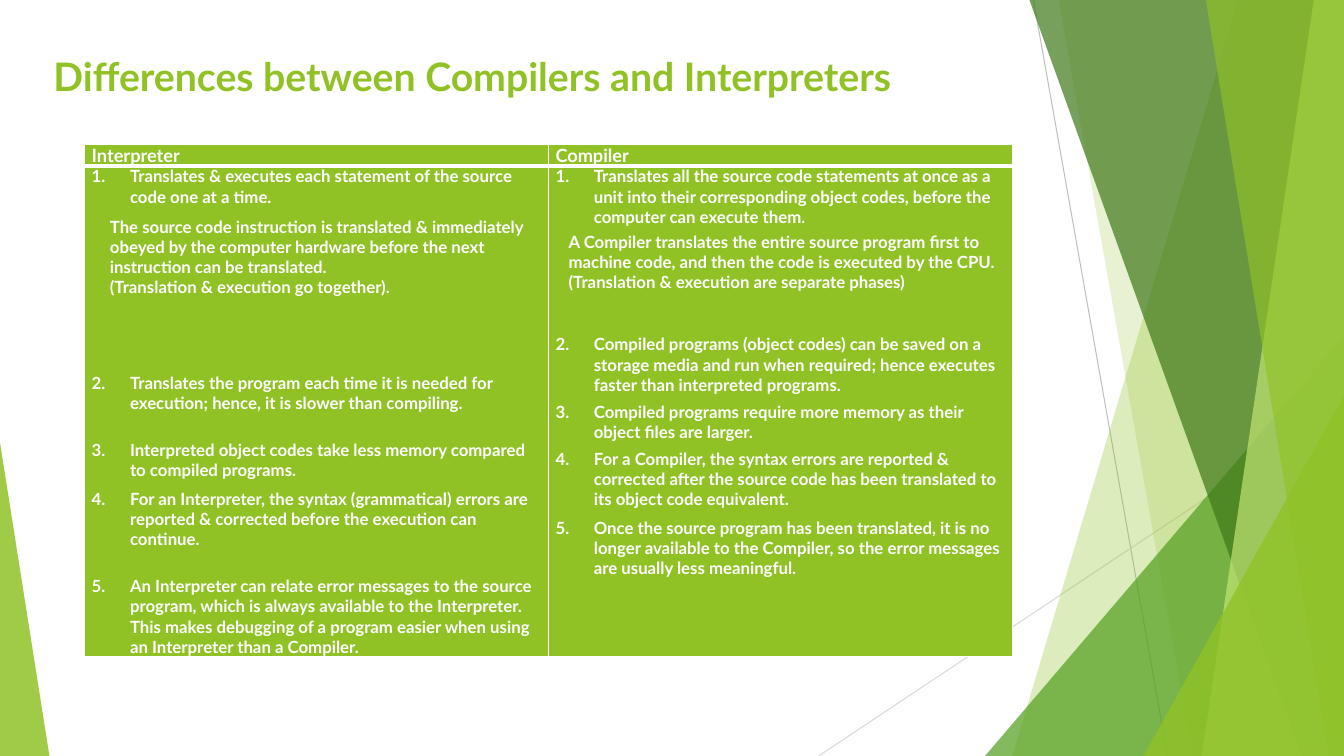
from dataclasses import dataclass

from lxml import etree
from pptx import Presentation
from pptx.dml.color import RGBColor
from pptx.enum.shapes import MSO_CONNECTOR, MSO_SHAPE
from pptx.enum.text import MSO_ANCHOR, PP_ALIGN
from pptx.oxml.ns import qn
from pptx.util import Inches, Pt

LINE = MSO_CONNECTOR.STRAIGHT
TRIANGLE = MSO_SHAPE.ISOSCELES_TRIANGLE
TOP = MSO_ANCHOR.TOP
LEFT = PP_ALIGN.LEFT
WIDTH, HEIGHT = 13.33, 7.5


@dataclass(frozen=True)
class Theme:
    """Colours, font and type sizes of the slide."""
    font: str = "Lato"
    title: int = 28
    header: int = 13
    body: int = 12
    green: str = "90C226"
    leaf: str = "54A021"
    forest: str = "3F7819"
    lime: str = "C0E474"
    white: str = "FFFFFF"
    grey: str = "BFBFBF"
    pale_grey: str = "D9D9D9"


class Deck:
    """Holds the theme and the current slide, and draws elements on it."""

    def __init__(self, slide, theme):
        """Keep the slide and the theme."""
        self.slide = slide
        self.theme = theme

    def add_text(self, p, text, size, color):
        """Add a bold run of text to a paragraph."""
        r = p.add_run()
        r.text = text
        r.font.name = self.theme.font
        r.font.size = Pt(size)
        r.font.bold = True
        r.font.color.rgb = RGBColor.from_string(color)

    def title(self, text, x, y, w, h):
        """Place and fill the title placeholder."""
        sp = self.slide.shapes.title
        sp.left, sp.top, sp.width, sp.height = map(Inches, (x, y, w, h))
        tf = sp.text_frame
        tf.vertical_anchor = TOP
        tf.word_wrap = True
        p = tf.paragraphs[0]
        p.alignment = LEFT
        self.add_text(p, text, size=self.theme.title, color=self.theme.green)

    def line(self, x1, y1, x2, y2, color):
        """Draw a thin straight line."""
        sp = self.slide.shapes.add_connector(LINE, *map(Inches, (x1, y1, x2, y2)))
        sp.line.color.rgb = RGBColor.from_string(color)
        sp.line.width = Pt(0.75)
        etree.SubElement(sp._element.spPr, qn("a:effectLst"))

    def paint(self, sp, color, opacity):
        """Give a shape a translucent fill with no line or shadow."""
        sp.shadow.inherit = False
        sp.line.fill.background()
        sp.fill.solid()
        sp.fill.fore_color.rgb = RGBColor.from_string(color)
        clr = sp._element.spPr.find(qn("a:solidFill"))[0]
        etree.SubElement(clr, qn("a:alpha"), val=str(opacity * 1000))

    def band(self, x_top, x_bottom, color, opacity):
        """Draw a full-height band from a slanted edge to the right side."""
        points = [(WIDTH, 0), (WIDTH, HEIGHT), (x_bottom, HEIGHT)]
        fb = self.slide.shapes.build_freeform(Inches(x_top), 0)
        fb.add_line_segments([(Inches(x), Inches(y)) for x, y in points])
        self.paint(fb.convert_to_shape(), color, opacity)

    def corner(self, x, y, w, apex, color, opacity):
        """Draw a right triangle that stands on the bottom edge."""
        sp = self.slide.shapes.add_shape(
            TRIANGLE, *map(Inches, (x, y, w, HEIGHT - y)))
        sp.adjustments[0] = apex
        self.paint(sp, color, opacity)

    def cell(self, cell, borders):
        """Set the borders, fill and margins of a table cell."""
        tc_pr = cell._tc.get_or_add_tcPr()
        for side, width in borders.items():
            ln = etree.SubElement(tc_pr, qn(f"a:ln{side}"), w=str(Pt(width)))
            fill = etree.SubElement(ln, qn("a:solidFill"))
            etree.SubElement(fill, qn("a:srgbClr"), val=self.theme.white)
        cell.fill.solid()
        cell.fill.fore_color.rgb = RGBColor.from_string(self.theme.green)
        cell.margin_left = cell.margin_right = Inches(0.07)
        cell.margin_top = cell.margin_bottom = 0
        cell.vertical_anchor = TOP

    def entries(self, tf, entries, indent):
        """Put numbered points and indented remarks into a cell."""
        number = 0
        for i, (numbered, gap, text) in enumerate(entries):
            p = tf.add_paragraph() if i else tf.paragraphs[0]
            p.space_before = Pt(gap)
            p_pr = p._p.get_or_add_pPr()
            if numbered:
                number += 1
                p_pr.set("marL", str(Inches(0.38)))
                p_pr.set("indent", str(-Inches(0.38)))
                etree.SubElement(p_pr, qn("a:buFont"), typeface="+mj-lt")
                etree.SubElement(p_pr, qn("a:buAutoNum"),
                                 type="arabicPeriod", startAt=str(number))
            else:
                p_pr.set("marL", str(Inches(indent)))
                p_pr.set("indent", "0")
            self.add_text(p, text, size=self.theme.body, color=self.theme.white)

    def table(self, columns, x, y, col_width, row_heights):
        """Draw a table with a heading and a list of entries per column."""
        table = self.slide.shapes.add_table(
            len(row_heights), len(columns), Inches(x), Inches(y),
            Inches(col_width * len(columns)), Inches(sum(row_heights))).table
        table.first_row = table.horz_banding = False
        for row, height in zip(table.rows, row_heights):
            row.height = Inches(height)
        for i, (heading, indent, entries) in enumerate(columns):
            table.columns[i].width = Inches(col_width)
            head, body = table.cell(0, i), table.cell(1, i)
            self.cell(head, {"L": 1, "R": 1, "T": 1, "B": 3})
            self.cell(body, {"L": 1, "R": 1, "T": 3, "B": 1})
            self.add_text(head.text_frame.paragraphs[0], heading,
                          size=self.theme.header, color=self.theme.white)
            self.entries(body.text_frame, entries, indent)


# Each entry: numbered or not, space before in points, text.
INTERPRETER = [
    (True, 0, "Translates & executes each statement of the source code one at a time."),
    (False, 7.2, "The source code instruction is translated & immediately obeyed by the "
     "computer hardware before the next instruction can be translated."),
    (False, 0, "(Translation & execution go together)."),
    (True, 54, "Translates the program each time it is needed for execution; hence, "
     "it is slower than compiling."),
    (True, 19.2, "Interpreted object codes take less memory compared to compiled programs."),
    (True, 6, "For an Interpreter, the syntax (grammatical) errors are reported & "
     "corrected before the execution can continue."),
    (True, 19.2, "An Interpreter can relate error messages to the source program, which is "
     "always available to the Interpreter. This makes debugging of a program easier "
     "when using an Interpreter than a Compiler."),
]
COMPILER = [
    (True, 0, "Translates all the source code statements at once as a unit into their "
     "corresponding object codes, before the computer can execute them."),
    (False, 3.6, "A Compiler translates the entire source program first to machine code, "
     "and then the code is executed by the CPU."),
    (False, 0, "(Translation & execution are separate phases)"),
    (True, 30, "Compiled programs (object codes) can be saved on a storage media and run "
     "when required; hence executes faster than interpreted programs."),
    (True, 4.8, "Compiled programs require more memory as their object files are larger."),
    (True, 4.8, "For a Compiler, the syntax errors are reported & corrected after the "
     "source code has been translated to its object code equivalent."),
    (True, 6, "Once the source program has been translated, it is no longer available to "
     "the Compiler, so the error messages are usually less meaningful."),
]

prs = Presentation()
prs.slide_width, prs.slide_height = Inches(WIDTH), Inches(HEIGHT)
theme = Theme()
deck = Deck(prs.slides.add_slide(prs.slide_layouts[5]), theme)

deck.line(10.25, 0, 11.58, HEIGHT, theme.grey)
deck.line(WIDTH, 4.03, 8.12, HEIGHT, theme.pale_grey)
deck.band(12.28, 10.04, theme.green, 30)
deck.band(10.5, 11.83, theme.green, 20)
deck.corner(9.77, 3.33, 3.56, 1, theme.leaf, 72)
deck.band(10.21, 12.91, theme.forest, 70)
deck.band(13.03, 11.92, theme.lime, 70)
deck.band(11.96, 13.18, theme.green, 65)
deck.corner(11.34, 3.93, 1.99, 1, theme.green, 80)
deck.corner(0, 4.39, 0.49, 0, theme.green, 85)

deck.title("Differences between Compilers and Interpreters", 0.43, 0.47, 9.91, 0.85)
deck.table([("Interpreter", 0.18, INTERPRETER), ("Compiler", 0.13, COMPILER)],
           0.84, 1.43, 4.6, (0.22, 4.86))

prs.save("out.pptx")
